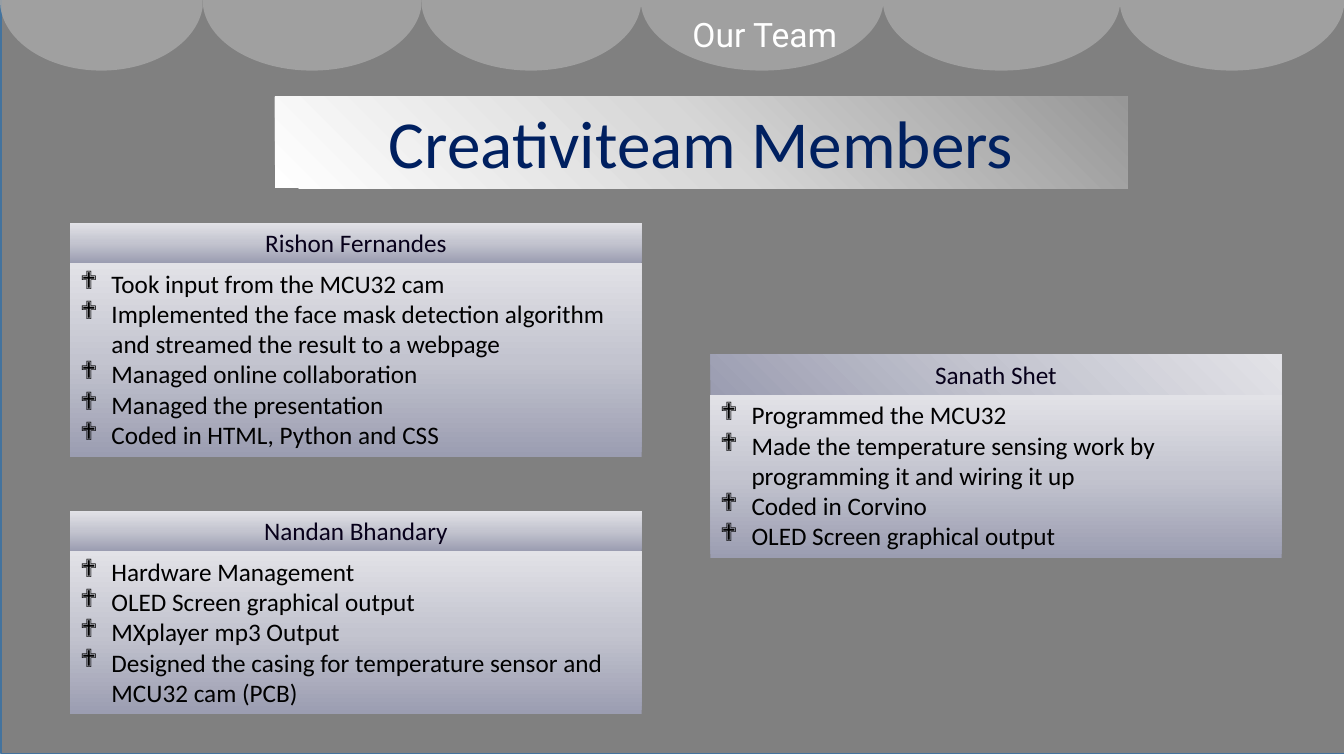
from itertools import pairwise

from lxml.etree import SubElement
from pptx import Presentation
from pptx.dml.color import RGBColor
from pptx.enum.shapes import MSO_SHAPE
from pptx.enum.text import MSO_ANCHOR, MSO_AUTO_SIZE, PP_ALIGN
from pptx.oxml.ns import qn
from pptx.util import Cm, Pt

RECTANGLE = MSO_SHAPE.RECTANGLE
TOP = MSO_ANCHOR.TOP
FIT_SHAPE = MSO_AUTO_SIZE.SHAPE_TO_FIT_TEXT
LEFT, CENTER = PP_ALIGN.LEFT, PP_ALIGN.CENTER

COLORS = {
    "backdrop": "808080",
    "backdrop_line": "43739E",
    "scallop": "A6A6A6",
    "title": "002060",
    "name": "07001A",
    "duty": "000000",
    "tab": "FFFFFF",
}
SILVER = ("979797", "D7D7D7", "FFFFFF")
LAVENDER = ("9B9DB1", "C3C4CF", "E2E2E7")

SLIDE_WIDTH, SLIDE_HEIGHT = 33.87, 19.05
SCALLOP_EDGES = (0, 5.11, 10.62, 16.15, 22.25, 28.22, SLIDE_WIDTH)
SCALLOP_DEPTH, SCALLOP_SHOULDER = 1.78, 0.17
CARD_WIDTH, HEADER_HEIGHT = 14.4, 1.02
BULLET_INDENT = Cm(0.79)

# left, top, body height, header gradient angle, name, duties
CARDS = (
    (1.77, 5.61, 4.88, 270, "Rishon Fernandes", (
        "Took input from the MCU32 cam",
        "Implemented the face mask detection algorithm and streamed the result to a webpage",
        "Managed online collaboration",
        "Managed the presentation",
        "Coded in HTML, Python and CSS",
    )),
    (1.77, 12.87, 4.11, 270, "Nandan Bhandary", (
        "Hardware Management",
        "OLED Screen graphical output",
        "MXplayer mp3 Output",
        "Designed the casing for temperature sensor and MCU32 cam (PCB)",
    )),
    (17.9, 8.93, 4.11, 315, "Sanath Shet", (
        "Programmed the MCU32",
        "Made the temperature sensing work by programming it and wiring it up",
        "Coded in Corvino",
        "OLED Screen graphical output",
    )),
)


def rgb(name):
    return RGBColor.from_string(COLORS[name])


def add_panel(page, left, top, width, height):
    """Add a rectangle without line or shadow."""
    panel = page.shapes.add_shape(RECTANGLE, Cm(left), Cm(top), Cm(width), Cm(height))
    panel.shadow.inherit = False
    panel.line.fill.background()
    return panel


def fill_gradient(shape, stops, angle=None):
    """Fill with a linear gradient, or a radial one from the top right if no angle is given."""
    shape.fill.gradient()
    gradient = shape._element.spPr.find(qn("a:gradFill"))
    gradient.clear()
    stop_list = SubElement(gradient, qn("a:gsLst"))
    for position, color in zip((0, 50000, 100000), stops):
        stop = SubElement(stop_list, qn("a:gs"), pos=str(position))
        SubElement(stop, qn("a:srgbClr"), val=color)
    if angle is None:
        radial = SubElement(gradient, qn("a:path"), path="circle")
        SubElement(radial, qn("a:fillToRect"), l="100000", b="100000")
    else:
        SubElement(gradient, qn("a:lin"), ang=str(angle * 60000), scaled="0")


def write(shape, lines, size, color, font="Calibri", align=CENTER):
    frame = shape.text_frame
    frame.word_wrap = True
    frame.auto_size = FIT_SHAPE
    frame.vertical_anchor = TOP
    frame.text = "\n".join(lines)
    for para in frame.paragraphs:
        para.alignment = align
        for span in para.runs:
            span.font.name = font
            span.font.size = Pt(size)
            span.font.color.rgb = rgb(color)


def add_bullets(shape):
    for para in shape.text_frame.paragraphs:
        properties = para._p.get_or_add_pPr()
        properties.set("marL", str(BULLET_INDENT))
        properties.set("indent", str(-BULLET_INDENT))
        SubElement(properties, qn("a:buFont"), typeface="Wingdings", charset="2")
        SubElement(properties, qn("a:buChar"), char="❖")


def add_backdrop(page):
    backdrop = add_panel(page, 0.03, -0.04, SLIDE_WIDTH, 19.03)
    backdrop.fill.solid()
    backdrop.fill.fore_color.rgb = rgb("backdrop")
    backdrop.line.color.rgb = rgb("backdrop_line")
    backdrop.line.width = Pt(1)


def add_title(page, left, top, width, height):
    title = add_panel(page, left, top, width, height)
    fill_gradient(title, SILVER)
    write(title, ["Creativiteam Members"], 48, "title")


def add_card(page, left, top, body_height, header_angle, name, duties):
    body = add_panel(page, left, top + HEADER_HEIGHT, CARD_WIDTH, body_height)
    fill_gradient(body, LAVENDER, 270)
    write(body, duties, 18, "duty", align=LEFT)
    add_bullets(body)
    header = add_panel(page, left, top, CARD_WIDTH, HEADER_HEIGHT)
    fill_gradient(header, LAVENDER, header_angle)
    write(header, [name], 18, "name")


def bend_lines(shape, first):
    """Turn each three line segments from index first on into one cubic curve."""
    outline = shape._element.spPr.find(".//" + qn("a:path"))
    segments = outline.findall(qn("a:lnTo"))[first:]
    for start in range(0, len(segments), 3):
        curve = SubElement(outline, qn("a:cubicBezTo"))
        segments[start].addprevious(curve)
        for segment in segments[start:start + 3]:
            curve.append(segment[0])
            outline.remove(segment)


def add_scallop(page, left, right):
    """Hang a half oval from the top edge between left and right."""
    radius = (right - left) / 2
    middle = left + radius
    drop = SCALLOP_SHOULDER + 0.56 * (SCALLOP_DEPTH - SCALLOP_SHOULDER)
    points = (
        (right, 0), (right, SCALLOP_SHOULDER),
        (right - 0.05 * radius, drop), (middle + 0.52 * radius, SCALLOP_DEPTH),
        (middle, SCALLOP_DEPTH),
        (middle - 0.52 * radius, SCALLOP_DEPTH), (left + 0.05 * radius, drop),
        (left + 0.01, SCALLOP_SHOULDER),
    )
    outline = page.shapes.build_freeform(Cm(left), Cm(0))
    outline.add_line_segments([(Cm(x), Cm(y)) for x, y in points], close=True)
    scallop = outline.convert_to_shape()
    bend_lines(scallop, 2)
    scallop.shadow.inherit = False
    scallop.line.fill.background()
    scallop.fill.solid()
    scallop.fill.fore_color.rgb = rgb("scallop")
    color = scallop._element.spPr.find(qn("a:solidFill"))[0]
    SubElement(color, qn("a:alpha"), val="85000")


def add_tab_label(page, left, top, width, height):
    label = page.shapes.add_textbox(Cm(left), Cm(top), Cm(width), Cm(height))
    write(label, ["Our Team"], 24, "tab", font="Roboto")


def main():
    deck = Presentation()
    deck.slide_width, deck.slide_height = Cm(SLIDE_WIDTH), Cm(SLIDE_HEIGHT)
    page = deck.slides.add_slide(deck.slide_layouts[6])
    add_backdrop(page)
    add_title(page, 6.93, 2.44, 21.49, 2.31)
    for card in CARDS:
        add_card(page, *card)
    for left, right in pairwise(SCALLOP_EDGES):
        add_scallop(page, left, right)
    add_tab_label(page, 17.05, 0.22, 4.45, 1.27)
    deck.save("out.pptx")


if __name__ == "__main__":
    main()
